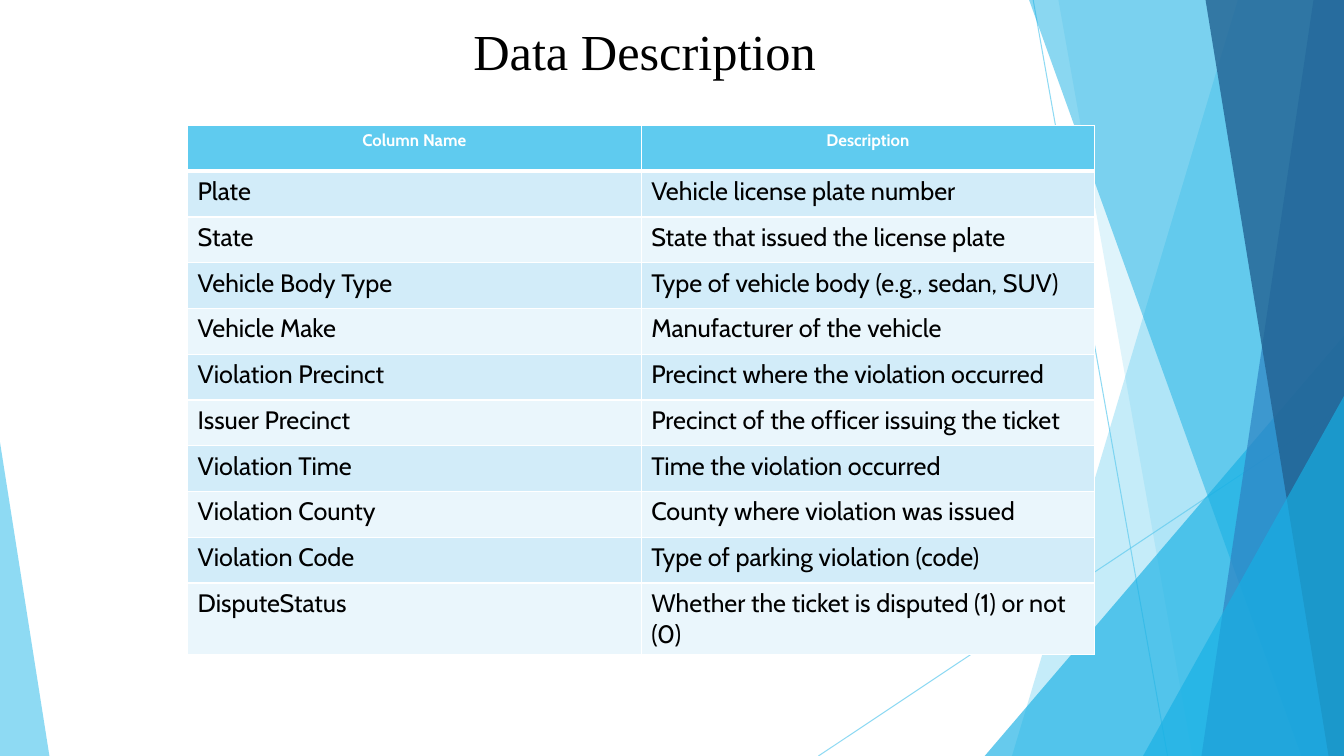
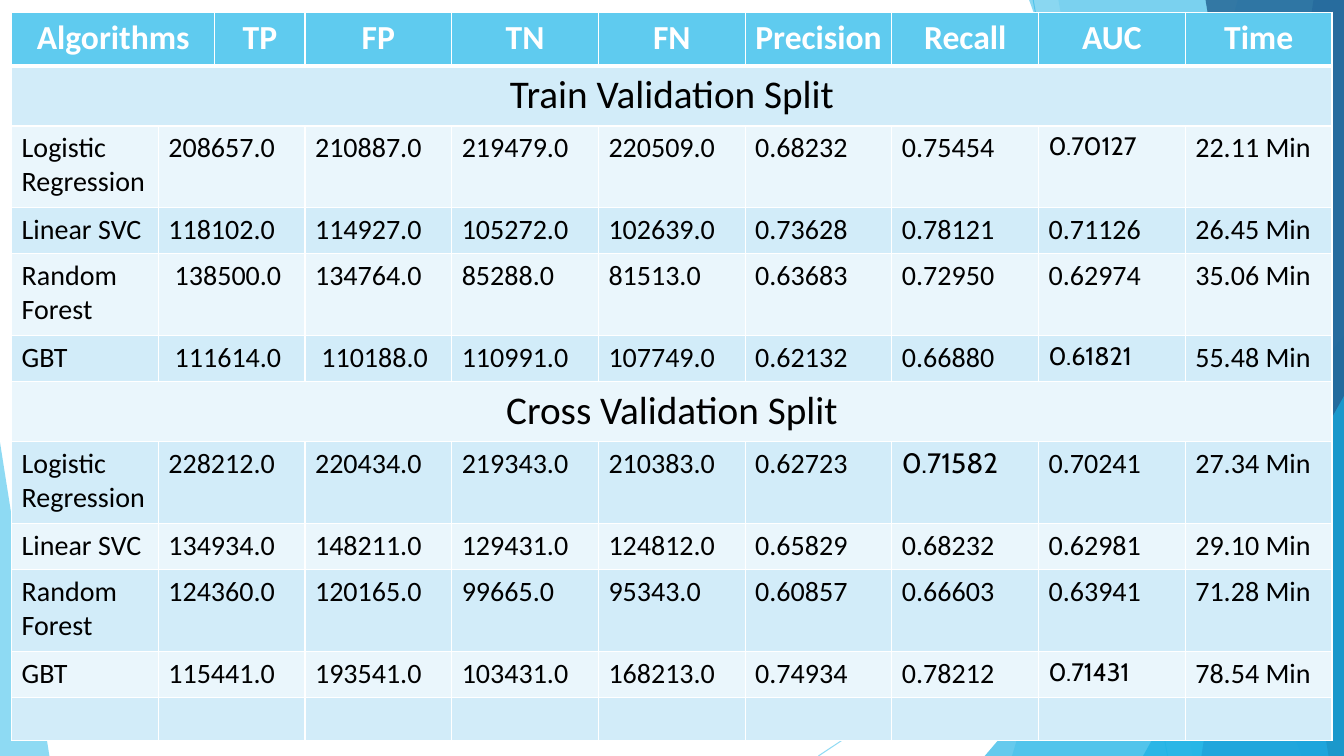
from lxml.etree import SubElement
from pptx import Presentation
from pptx.dml.color import RGBColor
from pptx.enum.shapes import MSO_CONNECTOR, MSO_SHAPE
from pptx.enum.text import PP_ALIGN
from pptx.oxml import parse_xml
from pptx.oxml.ns import nsdecls, qn
from pptx.util import Pt

WIDTH, HEIGHT = 960, 540
COLORS = {
    "sky": "5FCBEF", "cyan": "17B0E4", "blue": "2E83C3", "navy": "226292",
    "band_dark": "D2ECF9", "band_light": "EAF6FC", "white": "FFFFFF", "black": "000000",
}


def color_of(name):
    return RGBColor.from_string(COLORS[name])


def write(frame, text, font="Cabin", size=18, color="black", bold=False, align=PP_ALIGN.LEFT):
    para = frame.paragraphs[0]
    para.alignment = align
    span = para.add_run()
    span.text = text
    span.font.name = font
    span.font.size = Pt(size)
    span.font.bold = bold
    span.font.color.rgb = color_of(color)


def set_opacity(shape, percent):
    for color in shape.element.iter(qn("a:srgbClr")):
        SubElement(color, qn("a:alpha")).set("val", str(percent * 1000))


def set_borders(cell, bottom):
    properties = cell._tc.get_or_add_tcPr()
    for index, side in enumerate("LRTB"):
        width = Pt(bottom if side == "B" else 1)
        properties.insert(index, parse_xml(
            f'<a:ln{side} {nsdecls("a")} w="{width}"><a:solidFill>'
            f'<a:srgbClr val="{COLORS["white"]}"/></a:solidFill></a:ln{side}>'))


class Deck:
    """Hold the shared style and the page being drawn."""

    def __init__(self):
        self.file = Presentation()
        self.file.slide_width = Pt(WIDTH)
        self.file.slide_height = Pt(HEIGHT)
        self.page = None

    def add_page(self):
        self.page = self.file.slides.add_slide(self.file.slide_layouts[6])
        self.add_line((738, 0), (834, HEIGHT))
        self.add_line((WIDTH, 290), (584.6, HEIGHT))
        self.add_band(884.2, 722.9, "sky", 36)
        self.add_band(756, 851.8, "sky", 20)
        self.add_triangle(703.4, 239.8, WIDTH, 1, "cyan", 66)
        self.add_band(735.1, 929.5, "cyan", 50)
        self.add_band(938.2, 858.2, "blue", 70)
        self.add_band(861.1, 949, "navy", 80)
        self.add_triangle(816.5, 283, WIDTH, 1, "cyan", 66)
        self.add_triangle(0, 316, 35.3, 0, "sky", 70)

    def add_line(self, start, end):
        line = self.page.shapes.add_connector(MSO_CONNECTOR.STRAIGHT, *map(Pt, start + end))
        line.line.color.rgb = color_of("sky")
        line.line.width = Pt(0.75)
        set_opacity(line, 70)
        SubElement(line.element.spPr, qn("a:effectLst"))

    def paint(self, shape, color, opacity):
        shape.shadow.inherit = False
        shape.fill.solid()
        shape.fill.fore_color.rgb = color_of(color)
        shape.line.fill.background()
        set_opacity(shape, opacity)

    def add_band(self, top_x, bottom_x, color, opacity):
        builder = self.page.shapes.build_freeform(Pt(top_x), 0)
        corners = [(WIDTH, 0), (WIDTH, HEIGHT), (bottom_x, HEIGHT)]
        builder.add_line_segments([(Pt(x), Pt(y)) for x, y in corners], close=True)
        self.paint(builder.convert_to_shape(), color, opacity)

    def add_triangle(self, left, top, right, apex, color, opacity):
        triangle = self.page.shapes.add_shape(
            MSO_SHAPE.ISOSCELES_TRIANGLE, Pt(left), Pt(top), Pt(right - left), Pt(HEIGHT - top))
        triangle.adjustments[0] = apex
        self.paint(triangle, color, opacity)

    def add_title(self, text):
        box = self.page.shapes.add_textbox(Pt(331), Pt(11), Pt(600), Pt(104))
        box.text_frame.word_wrap = True
        write(box.text_frame, text, font="Times New Roman", size=36)

    def add_table(self, left, top, widths, heights, rows, header, body, section=None):
        table = self.page.shapes.add_table(
            len(rows), len(widths), Pt(left), Pt(top), Pt(sum(widths)), Pt(sum(heights))).table
        for column, width in zip(table.columns, widths):
            column.width = Pt(width)
        for row, height in zip(table.rows, heights):
            row.height = Pt(height)
        for r, texts in enumerate(rows):
            style = header if r == 0 else section if texts[1:].count(None) > 1 else body
            fill = "sky" if r == 0 else "band_dark" if r % 2 else "band_light"
            for c, text in enumerate(texts):
                cell = table.cell(r, c)
                cell.fill.solid()
                cell.fill.fore_color.rgb = color_of(fill)
                set_borders(cell, bottom=3 if r == 0 else 1)
                if isinstance(text, tuple):
                    write(cell.text_frame, text[0], font="Cabin", size=text[1])
                elif text:
                    write(cell.text_frame, text, **style)
                last = c
                while last + 1 < len(texts) and texts[last + 1] is None:
                    last += 1
                if text is not None and last > c:
                    cell.merge(table.cell(r, last))


DESCRIPTIONS = [
    ("Column Name", "Description"),
    ("Plate", "Vehicle license plate number"),
    ("State", "State that issued the license plate"),
    ("Vehicle Body Type", "Type of vehicle body (e.g., sedan, SUV)"),
    ("Vehicle Make", "Manufacturer of the vehicle"),
    ("Violation Precinct", "Precinct where the violation occurred"),
    ("Issuer Precinct", "Precinct of the officer issuing the ticket"),
    ("Violation Time", "Time the violation occurred"),
    ("Violation County", "County where violation was issued"),
    ("Violation Code", "Type of parking violation (code)"),
    ("DisputeStatus", "Whether the ticket is disputed (1) or not (0)"),
]
ALGORITHMS = ["Logistic Regression", "Linear SVC", "Random Forest", "GBT"]
TRAIN_SCORES = [
    ["208657.0", "210887.0", "219479.0", "220509.0", "0.68232", "0.75454", ("0.70127", 18), "22.11 Min"],
    ["118102.0", "114927.0", "105272.0", "102639.0", "0.73628", "0.78121", "0.71126", "26.45 Min"],
    [" 138500.0", "134764.0", "85288.0", "81513.0", "0.63683", "0.72950", "0.62974", "35.06 Min"],
    [" 111614.0", " 110188.0", "110991.0", "107749.0", "0.62132", "0.66880", ("0.61821", 18), "55.48 Min"],
]
CROSS_SCORES = [
    ["228212.0", "220434.0", "219343.0", "210383.0", "0.62723", ("0.71582", 20), "0.70241", "27.34 Min"],
    ["134934.0", "148211.0", "129431.0", "124812.0", "0.65829", "0.68232", "0.62981", "29.10 Min"],
    ["124360.0", "120165.0", "99665.0", "95343.0", "0.60857", "0.66603", "0.63941", "71.28 Min"],
    ["115441.0", "193541.0", "103431.0", "168213.0", "0.74934", "0.78212", ("0.71431", 18), "78.54 Min"],
]


def section_rows(title, scores):
    rows = [[title] + [None] * 9]
    for name, values in zip(ALGORITHMS, scores):
        rows.append([name, values[0], None] + values[1:])
    return rows


def main():
    deck = Deck()
    heading = dict(color="white", bold=True, align=PP_ALIGN.CENTER)

    deck.add_page()
    deck.add_title("Data Description")
    deck.add_table(134, 89.6, [324] * 2, [32.7] * 10 + [51], DESCRIPTIONS,
                   header=dict(heading, size=12), body=dict(size=18))

    deck.add_page()
    rows = [["Algorithms", None, "TP", "FP", "TN", "FN", "Precision", "Recall", "AUC", "Time"]]
    rows += section_rows("Train Validation Split", TRAIN_SCORES)
    rows += section_rows("Cross Validation Split", CROSS_SCORES)
    rows.append(["", "", None] + [""] * 7)
    section_heights = [43, 58.5, 32.9, 58.5, 32.9]
    deck.add_table(8.3, 8.8, [104.8, 40.4, 64.4] + [104.8] * 7,
                   [38.2] + section_heights * 2 + [30.7], rows,
                   header=dict(heading, font="Calibri", size=24),
                   body=dict(font="Calibri", size=20),
                   section=dict(font="Calibri", size=28, align=PP_ALIGN.CENTER))

    deck.file.save("out.pptx")


if __name__ == "__main__":
    main()
